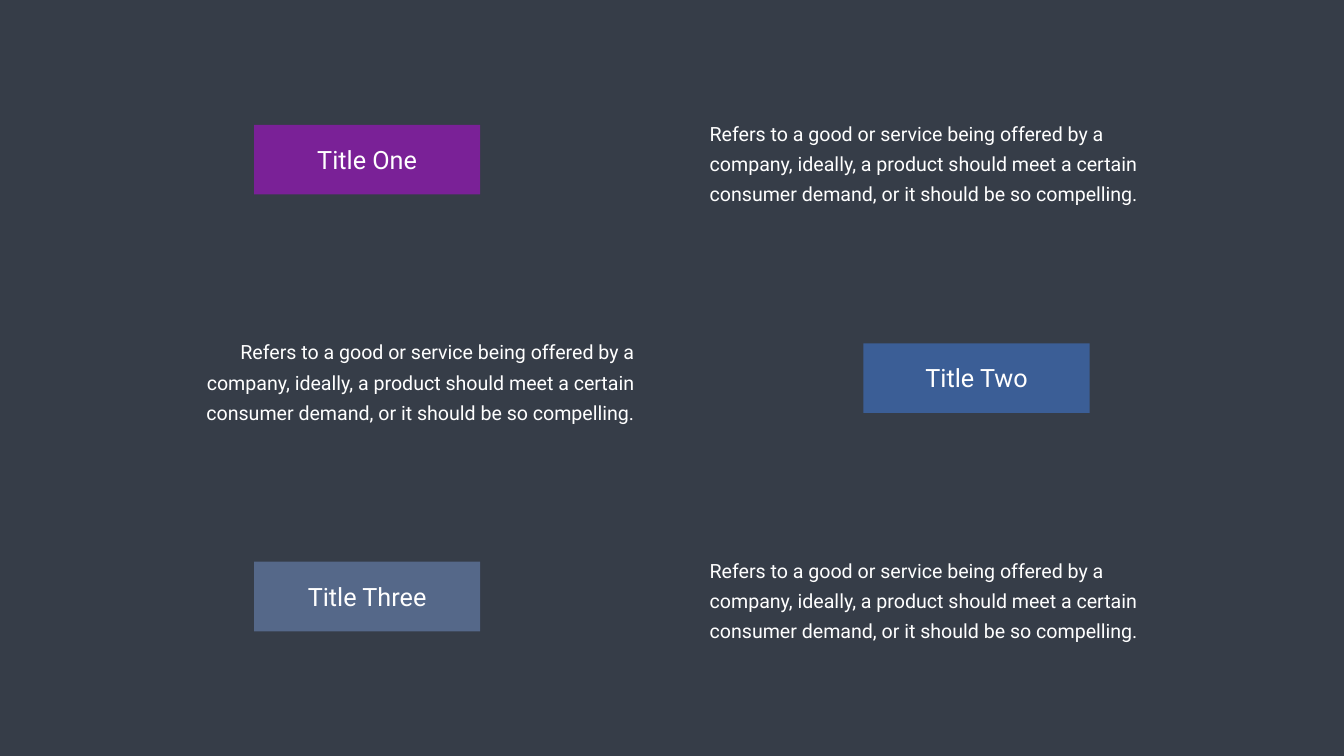
from dataclasses import dataclass

from lxml import etree
from pptx import Presentation
from pptx.dml.color import RGBColor
from pptx.enum.shapes import MSO_SHAPE
from pptx.enum.text import MSO_AUTO_SIZE, PP_ALIGN
from pptx.oxml.ns import qn
from pptx.slide import Slide
from pptx.text.text import TextFrame
from pptx.util import Cm, Pt

RECTANGLE = MSO_SHAPE.RECTANGLE
FIT_SHAPE = MSO_AUTO_SIZE.SHAPE_TO_FIT_TEXT
LEFT, CENTER, RIGHT = PP_ALIGN.LEFT, PP_ALIGN.CENTER, PP_ALIGN.RIGHT

FONT = "Roboto"
WHITE = "FFFFFF"
BACKGROUND = "363D48"
FILL_OPACITY = 80

SLIDE_WIDTH, SLIDE_HEIGHT = 67.72, 38.1
ROW_PITCH = 11.01
BANNER_TOP, BANNER_WIDTH, BANNER_HEIGHT = 6.29, 11.4, 3.51
TITLE_WIDTH, TITLE_HEIGHT = 8.31, 1.8
DESCRIPTION_TOP, DESCRIPTION_WIDTH, DESCRIPTION_HEIGHT = 5.51, 23.85, 5.08
DESCRIPTION = (
    "Refers to a good or service being offered by a company, ideally, "
    "a product should meet a certain consumer demand, or it should be so compelling."
)


@dataclass(frozen=True)
class Side:
    banner_left: float
    description_left: float
    alignment: PP_ALIGN


@dataclass(frozen=True)
class Row:
    title: str
    color: str
    side: Side


BANNER_LEFT = Side(12.8, 35.15, LEFT)
BANNER_RIGHT = Side(43.51, 8.71, RIGHT)
ROWS = [
    Row("Title One", "8C1BAB", BANNER_LEFT),
    Row("Title Two", "3D67AA", BANNER_RIGHT),
    Row("Title Three", "5D739A", BANNER_LEFT),
]


def rgb(color: str) -> RGBColor:
    return RGBColor.from_string(color)


def add_text(
    slide: Slide, text: str, left: float, top: float, width: float, height: float,
    size: float, alignment: PP_ALIGN,
) -> TextFrame:
    text_box = slide.shapes.add_textbox(Cm(left), Cm(top), Cm(width), Cm(height))
    frame = text_box.text_frame
    frame.word_wrap = True
    frame.auto_size = FIT_SHAPE
    paragraph = frame.paragraphs[0]
    paragraph.text = text
    paragraph.alignment = alignment
    paragraph.font.name = FONT
    paragraph.font.size = Pt(size)
    paragraph.font.color.rgb = rgb(WHITE)
    return frame


def add_banner(slide: Slide, row: Row, top: float) -> None:
    left = row.side.banner_left
    banner = slide.shapes.add_shape(
        RECTANGLE, Cm(left), Cm(top), Cm(BANNER_WIDTH), Cm(BANNER_HEIGHT)
    )
    banner.shadow.inherit = False
    banner.line.fill.background()
    banner.fill.solid()
    banner.fill.fore_color.rgb = rgb(row.color)
    fill_color = banner.fill._xPr.find(qn("a:solidFill"))[0]
    etree.SubElement(fill_color, qn("a:alpha"), val=str(FILL_OPACITY * 1000))
    title_left = left + (BANNER_WIDTH - TITLE_WIDTH) / 2
    title_top = top + (BANNER_HEIGHT - TITLE_HEIGHT) / 2
    add_text(
        slide, row.title, title_left, title_top, TITLE_WIDTH, TITLE_HEIGHT, 36, CENTER
    )


def add_description(slide: Slide, side: Side, top: float) -> None:
    frame = add_text(
        slide, DESCRIPTION, side.description_left, top,
        DESCRIPTION_WIDTH, DESCRIPTION_HEIGHT, 28, side.alignment,
    )
    frame.margin_left = frame.margin_right = Cm(0.61)
    frame.margin_top = frame.margin_bottom = Cm(0.3)
    frame.paragraphs[0].line_spacing = Pt(43)


def main() -> None:
    presentation = Presentation()
    presentation.slide_width = Cm(SLIDE_WIDTH)
    presentation.slide_height = Cm(SLIDE_HEIGHT)
    slide = presentation.slides.add_slide(presentation.slide_layouts[6])
    slide.background.fill.solid()
    slide.background.fill.fore_color.rgb = rgb(BACKGROUND)
    for index, row in enumerate(ROWS):
        offset = index * ROW_PITCH
        add_banner(slide, row, BANNER_TOP + offset)
        add_description(slide, row.side, DESCRIPTION_TOP + offset)
    presentation.save("out.pptx")


if __name__ == "__main__":
    main()
